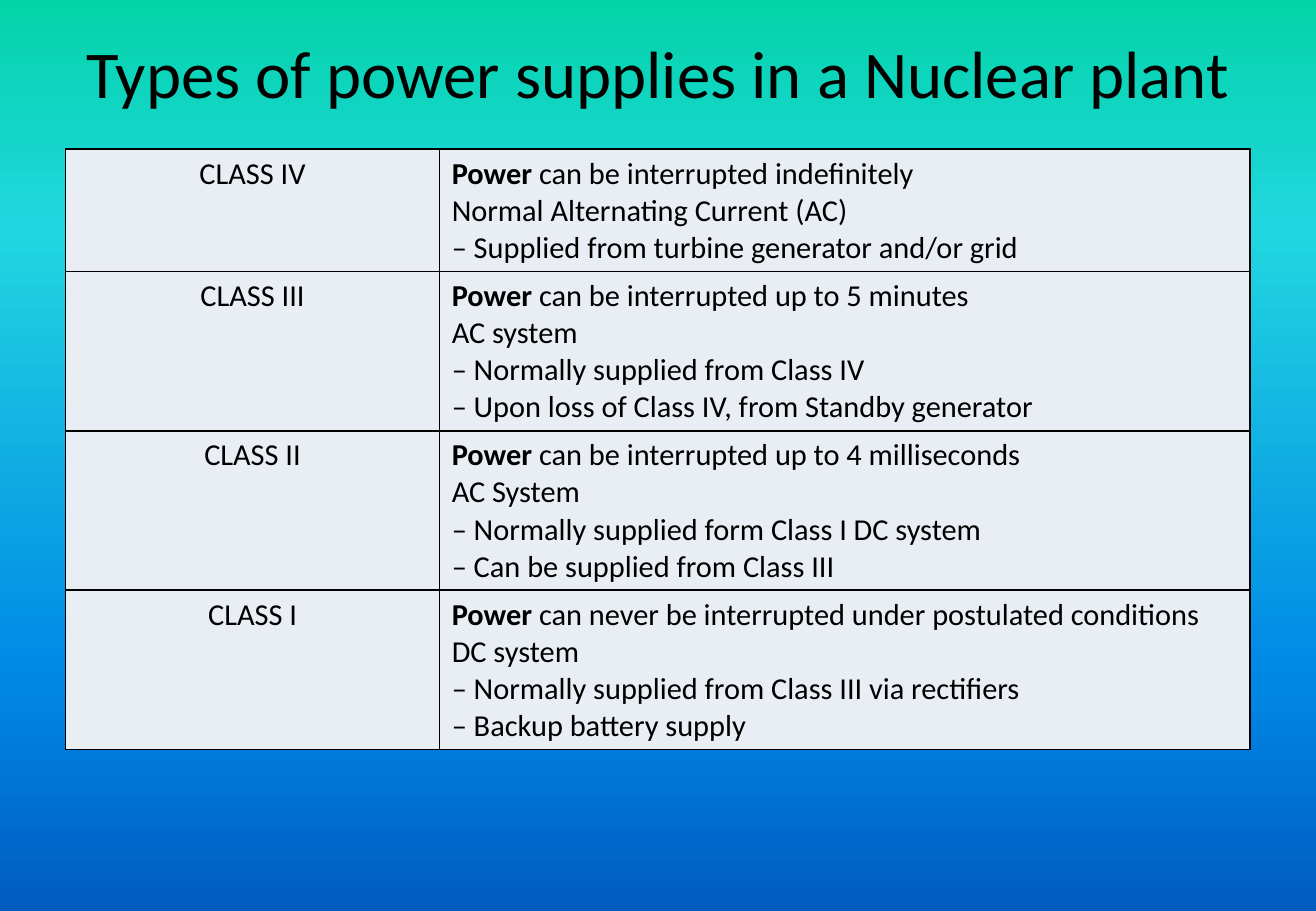
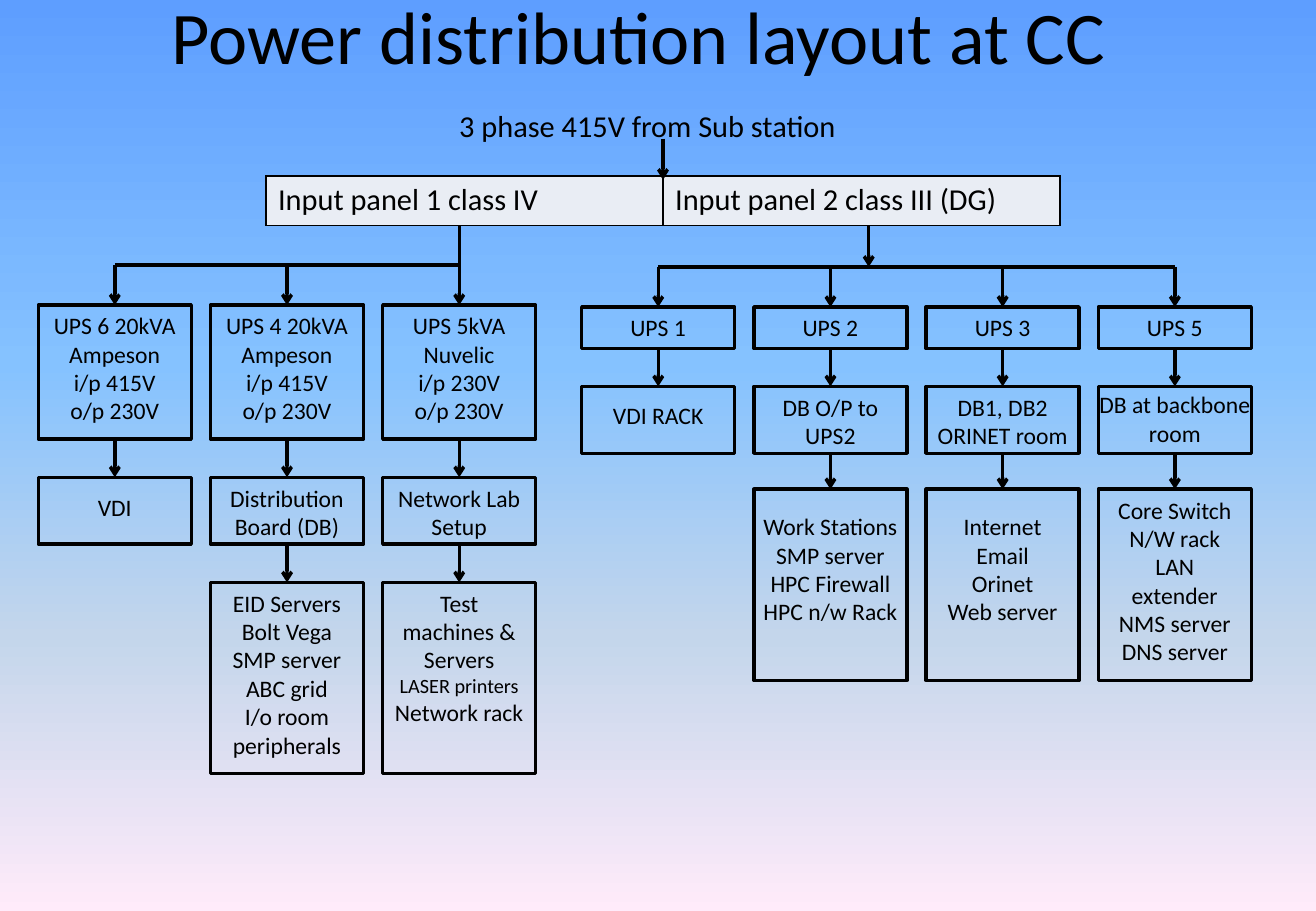
"""Two slides on power supply classes and the power distribution layout."""
from copy import deepcopy

from pptx import Presentation
from pptx import util as u
from pptx.dml.color import RGBColor
from pptx.enum import shapes, text
from pptx.oxml.ns import qn
from lxml import etree

Cm, Pt = u.Cm, u.Pt
LEFT, CENTER = text.PP_ALIGN.LEFT, text.PP_ALIGN.CENTER
FONT = "Calibri"
COLORS = {
    "ink": "000000",
    "cell": "E9EDF4",
    "classes": [(0, "03D4A8"), (0.25, "21D6E0"), (0.75, "0087E6"), (1, "005CBF")],
    "layout": [(0, "5E9EFF"), (0.4, "85C2FF"), (0.7, "C4D6EB"), (1, "FFEBFA")],
}
INK = RGBColor.from_string(COLORS["ink"])


def write(frame, lines, size, align=LEFT):
    """Fill a frame with lines, each a string or a list of (text, size, bold) runs."""
    frame.word_wrap = True
    for index, line in enumerate(lines):
        paragraph = frame.add_paragraph() if index else frame.paragraphs[0]
        paragraph.alignment = align
        runs = [(line, size, False)] if isinstance(line, str) else line
        for words, points, bold in runs:
            run = paragraph.add_run()
            run.text = words
            run.font.name, run.font.size, run.font.bold = FONT, Pt(points), bold
            run.font.color.rgb = INK


def draw_line(slide, start, end, arrow=True):
    """Draw a straight line between two points in centimetres."""
    connector = slide.shapes.add_connector(
        shapes.MSO_CONNECTOR.STRAIGHT, *(Cm(value) for value in start + end))
    connector.line.width = Pt(2)
    connector.line.color.rgb = INK
    if arrow:
        etree.SubElement(connector.line._get_or_add_ln(), qn("a:tailEnd"), type="arrow")
    etree.SubElement(connector._element.spPr, qn("a:effectLst"))
    return connector


def_power = [
    ("CLASS IV", " can be interrupted indefinitely",
     ["Normal Alternating Current (AC)", "– Supplied from turbine generator and/or grid"]),
    ("CLASS III", " can be interrupted up to 5 minutes",
     ["AC system", "– Normally supplied from Class IV",
      "– Upon loss of Class IV, from Standby generator"]),
    ("CLASS II", " can be interrupted up to 4 milliseconds",
     ["AC System", "– Normally supplied form Class I DC system",
      "– Can be supplied from Class III"]),
    ("CLASS I", " can never be interrupted under postulated conditions",
     ["DC system", "– Normally supplied from Class III via rectifiers",
      "– Backup battery supply"]),
]
class_rows = [
    ([name], [[("Power", 18, True), (limit, 18, False)], *details])
    for name, limit, details in def_power
]
panel_rows = [(["Input panel 1 class IV"], ["Input panel 2 class III (DG)"])]

pages = [
    {"title": "Types of power supplies in a Nuclear plant", "size": 39.6, "at": (1.37, -0.08),
     "stops": COLORS["classes"], "rows": class_rows, "table": (1.37, 3.12),
     "columns": (7.82, 16.94), "first_align": CENTER, "padding": 0.25},
    {"title": "Power distribution layout at CC", "size": 44, "at": (0.97, -0.86),
     "stops": COLORS["layout"], "rows": panel_rows, "table": (5.56, 3.68),
     "columns": (8.3, 8.3), "first_align": LEFT, "padding": 0.26},
]

presentation = Presentation()
presentation.slide_width, presentation.slide_height = Cm(27.51), Cm(19.05)

for page in pages:
    slide = presentation.slides.add_slide(presentation.slide_layouts[6])
    fill = slide.background.fill
    fill.gradient()
    fill.gradient_angle = 270
    stop_list = slide._element.find(".//" + qn("a:gsLst"))
    while len(stop_list) < len(page["stops"]):
        stop_list.append(deepcopy(stop_list[0]))
    for stop, (position, color) in zip(fill.gradient_stops, page["stops"]):
        stop.position = position
        stop.color.rgb = RGBColor.from_string(color)

    left, top = page["at"]
    title = slide.shapes.add_textbox(Cm(left), Cm(top), Cm(24.77), Cm(3.18))
    title.text_frame.vertical_anchor = text.MSO_ANCHOR.MIDDLE
    write(title.text_frame, [page["title"]], page["size"], CENTER)

    heights = [0.77 * len(row[1]) + page["padding"] for row in page["rows"]]
    left, top = page["table"]
    table = slide.shapes.add_table(
        len(heights), 2, Cm(left), Cm(top), Cm(sum(page["columns"])), Cm(sum(heights))).table
    table.first_row = table.horz_banding = False
    for column, width in zip(table.columns, page["columns"]):
        column.width = Cm(width)
    for row, height, contents in zip(table.rows, heights, page["rows"]):
        row.height = Cm(height)
        for cell, lines, align in zip(row.cells, contents, (page["first_align"], LEFT)):
            write(cell.text_frame, lines, 18, align)
            properties = cell._tc.get_or_add_tcPr()
            for side in ("a:lnL", "a:lnR", "a:lnT", "a:lnB"):
                border = etree.SubElement(properties, qn(side), w=str(Pt(1)))
                solid = etree.SubElement(border, qn("a:solidFill"))
                etree.SubElement(solid, qn("a:srgbClr"), val=COLORS["ink"])
            cell.fill.solid()
            cell.fill.fore_color.rgb = RGBColor.from_string(COLORS["cell"])

source = slide.shapes.add_textbox(Cm(9.35), Cm(2.11), Cm(9.6), Cm(1.02))
write(source.text_frame, ["3 phase 415V from Sub station"], 18)
draw_line(slide, (13.86, 2.9), (13.86, 3.76))

BOX_WIDTH, PITCH, PANEL_BOTTOM = 3.2, 3.6, 4.72
SIDE, TOP = 0.25, 0.13
rated = ["i/p 415V", "o/p 230V"]
branches = [
    {"left": 0.8, "bus": 5.54, "feed": 9.6, "feed_arrow": False,
     "levels": [(6.38, 2.8), (9.98, 1.4), (12.18, 4)],
     "columns": [
         [(["UPS 6 20kVA", "Ampeson", *rated], TOP, SIDE), (["VDI"], 0.33, SIDE)],
         [(["UPS 4 20kVA", "Ampeson", *rated], TOP, SIDE),
          (["Distribution Board (DB)"], TOP, SIDE),
          (["EID Servers", "Bolt Vega", "SMP server", "ABC grid", "I/o room peripherals"],
           TOP, SIDE)],
         [(["UPS 5kVA", "Nuvelic", "i/p 230V", "o/p 230V"], TOP, SIDE),
          (["Network Lab Setup"], TOP, SIDE),
          (["Test machines & Servers", [("LASER printers", 12, False)], "Network rack"],
           TOP, SIDE)],
     ]},
    {"left": 12.16, "bus": 5.58, "feed": 18.16, "feed_arrow": True,
     "levels": [(6.42, 0.87), (8.08, 1.4), (10.23, 4)],
     "columns": [
         [(["UPS 1"], TOP, SIDE), (["VDI RACK"], 0.31, SIDE)],
         [(["UPS 2"], TOP, SIDE), (["DB O/P to UPS2"], TOP, SIDE),
          (["Work Stations", "SMP server", "HPC Firewall", "HPC n/w Rack"], 0.48, 0.05)],
         [(["UPS 3"], TOP, SIDE), (["DB1, DB2 ORINET room"], TOP, 0.05),
          (["Internet", "Email", "Orinet", "Web server"], 0.48, SIDE)],
         [(["UPS 5"], TOP, SIDE), (["DB at backbone room"], 0.08, 0),
          (["Core Switch", "N/W rack", "LAN extender", "NMS server", "DNS server"],
           TOP, SIDE)],
     ]},
]

for branch in branches:
    bus = branch["bus"]
    first = branch["left"] + BOX_WIDTH / 2
    last = first + PITCH * (len(branch["columns"]) - 1)
    draw_line(slide, (branch["feed"], PANEL_BOTTOM), (branch["feed"], bus), branch["feed_arrow"])
    draw_line(slide, (first, bus), (last, bus), arrow=False)
    for index, column in enumerate(branch["columns"]):
        left = branch["left"] + PITCH * index
        middle = left + BOX_WIDTH / 2
        above, start = None, bus
        for (top, height), (lines, top_inset, side_inset) in zip(branch["levels"], column):
            box = slide.shapes.add_shape(
                shapes.MSO_SHAPE.RECTANGLE, Cm(left), Cm(top), Cm(BOX_WIDTH), Cm(height))
            box.shadow.inherit = False
            box.fill.background()
            box.line.color.rgb = INK
            box.line.width = Pt(2)
            frame = box.text_frame
            frame.vertical_anchor = text.MSO_ANCHOR.TOP
            frame.margin_left = frame.margin_right = Cm(side_inset)
            frame.margin_top, frame.margin_bottom = Cm(top_inset), Cm(0)
            write(frame, lines, 14, CENTER)
            arrow = draw_line(slide, (middle, start), (middle, top))
            if above:
                arrow.begin_connect(above, 2)
            arrow.end_connect(box, 0)
            above, start = box, top + height

presentation.save("out.pptx")
